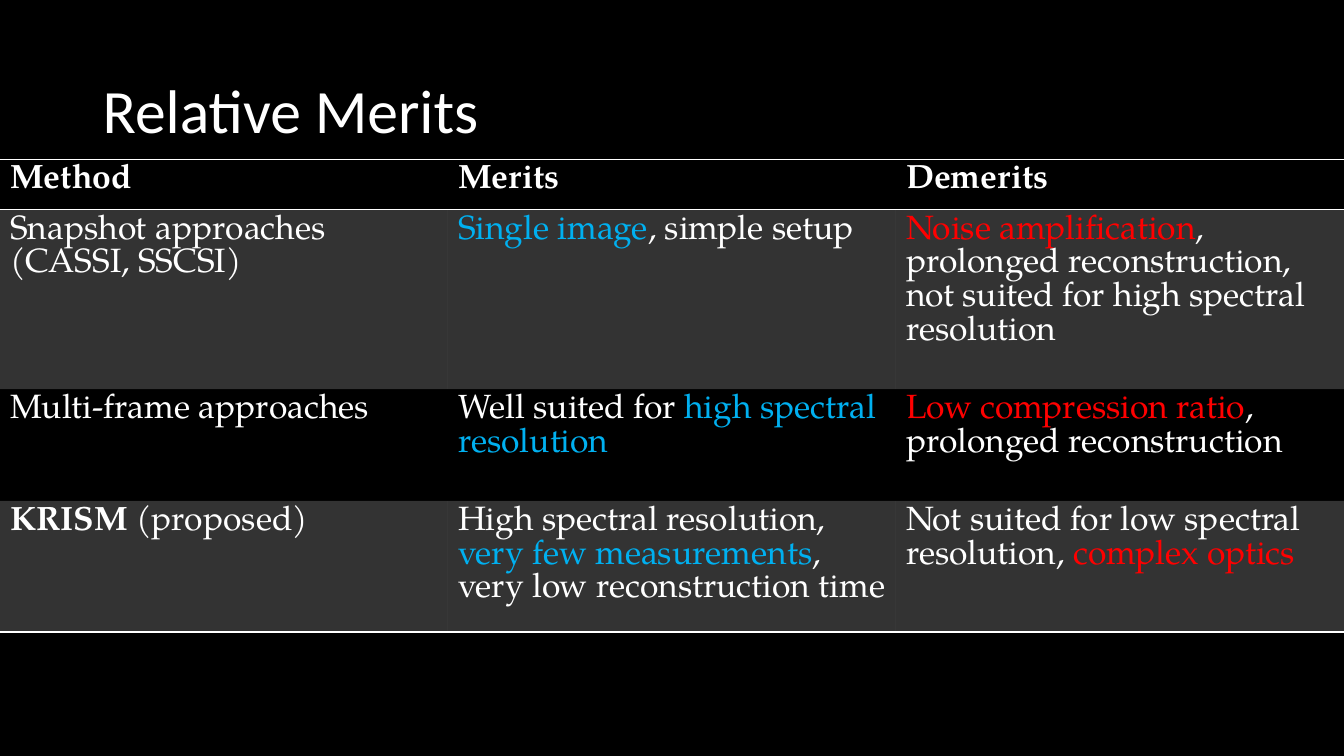
from dataclasses import dataclass

from lxml import etree
from pptx import Presentation
from pptx.dml.color import RGBColor
from pptx.enum.text import MSO_ANCHOR
from pptx.oxml.ns import qn
from pptx.util import Inches, Pt

MIDDLE = MSO_ANCHOR.MIDDLE
NO_STYLE = "{2D5ABB26-0587-4C30-8999-92F81FD0307C}"


@dataclass(frozen=True)
class Theme:
    background: str = "000000"
    text: str = "FFFFFF"
    merit: str = "00B0F0"
    demerit: str = "FF0000"
    title_font: str = "Calibri"
    body_font: str = "TeX Gyre Pagella"
    title_size: int = 44
    body_size: int = 24
    rule_width: int = 1
    band_opacity: int = 20


THEME = Theme()
WIDTH, HEIGHT = Inches(40 / 3), Inches(7.5)
TABLE_TOP = Inches(1.58)
ROW_HEIGHTS = [0.43, 1.78, 1.11, 1.1]

METHODS = [
    [
        [("Method", "bold")],
        [("Merits", "bold")],
        [("Demerits", "bold")],
    ],
    [
        [("Snapshot approaches (CASSI, SSCSI)", "plain")],
        [("Single image", "merit"), (", simple setup", "plain")],
        [("Noise amplification", "demerit"),
         (", prolonged reconstruction, not suited for high spectral resolution", "plain")],
    ],
    [
        [("Multi-frame approaches", "plain")],
        [("Well suited for ", "plain"), ("high spectral resolution", "merit")],
        [("Low compression ratio", "demerit"), (", prolonged reconstruction", "plain")],
    ],
    [
        [("KRISM ", "bold"), ("(proposed)", "plain")],
        [("High spectral resolution, ", "plain"), ("very few measurements", "merit"),
         (", very low reconstruction time", "plain")],
        [("Not suited for low spectral resolution, ", "plain"),
         ("complex optics", "demerit")],
    ],
]


def format_run(r, font, size, color, bold=False):
    r.font.name = font
    r.font.size = Pt(size)
    r.font.bold = bold
    r.font.color.rgb = RGBColor.from_string(color)


def add_title(s, text):
    sp = s.shapes.add_textbox(int(WIDTH * 0.069), int(HEIGHT * 0.053),
                              int(WIDTH * 0.862), int(HEIGHT * 0.193))
    tf = sp.text_frame
    tf.word_wrap = True
    tf.vertical_anchor = MIDDLE
    tf.text = text
    p = tf.paragraphs[0]
    p.line_spacing = 0.9
    format_run(p.runs[0], THEME.title_font, THEME.title_size, THEME.text)


def write_cell(cell, parts):
    p = cell.text_frame.paragraphs[0]
    colors = {"merit": THEME.merit, "demerit": THEME.demerit}
    for text, role in parts:
        r = p.add_run()
        r.text = text
        format_run(r, THEME.body_font, THEME.body_size,
                   colors.get(role, THEME.text), role == "bold")


def fill_band(cell):
    cell.fill.solid()
    cell.fill.fore_color.rgb = RGBColor.from_string(THEME.text)
    color = cell._tc.tcPr.find(".//" + qn("a:srgbClr"))
    etree.SubElement(color, qn("a:alpha"), val=str(THEME.band_opacity * 1000))


def rule_cell(cell, tags):
    tcPr = cell._tc.get_or_add_tcPr()
    for i, tag in enumerate(tags):
        ln = etree.Element(qn(tag), w=str(Pt(THEME.rule_width)))
        fill = etree.SubElement(ln, qn("a:solidFill"))
        etree.SubElement(fill, qn("a:srgbClr"), val=THEME.text)
        tcPr.insert(i, ln)


def add_methods_table(s, rows):
    frame = s.shapes.add_table(len(rows), len(rows[0]), 0, TABLE_TOP,
                               WIDTH, Inches(sum(ROW_HEIGHTS)))
    table = frame.table
    table.first_row = table.horz_banding = False
    table._tbl.tblPr.find(qn("a:tableStyleId")).text = NO_STYLE
    rules = {0: ["a:lnT", "a:lnB"], len(rows) - 1: ["a:lnB"]}
    for i, (row, height) in enumerate(zip(rows, ROW_HEIGHTS)):
        table.rows[i].height = Inches(height)
        for j, parts in enumerate(row):
            cell = table.cell(i, j)
            write_cell(cell, parts)
            if i % 2:
                fill_band(cell)
            else:
                cell.fill.background()
            rule_cell(cell, rules.get(i, []))


def main():
    prs = Presentation()
    prs.slide_width, prs.slide_height = WIDTH, HEIGHT
    s = prs.slides.add_slide(prs.slide_layouts[6])
    s.background.fill.solid()
    s.background.fill.fore_color.rgb = RGBColor.from_string(THEME.background)
    add_title(s, "Relative Merits")
    add_methods_table(s, METHODS)
    prs.save("out.pptx")


if __name__ == "__main__":
    main()
